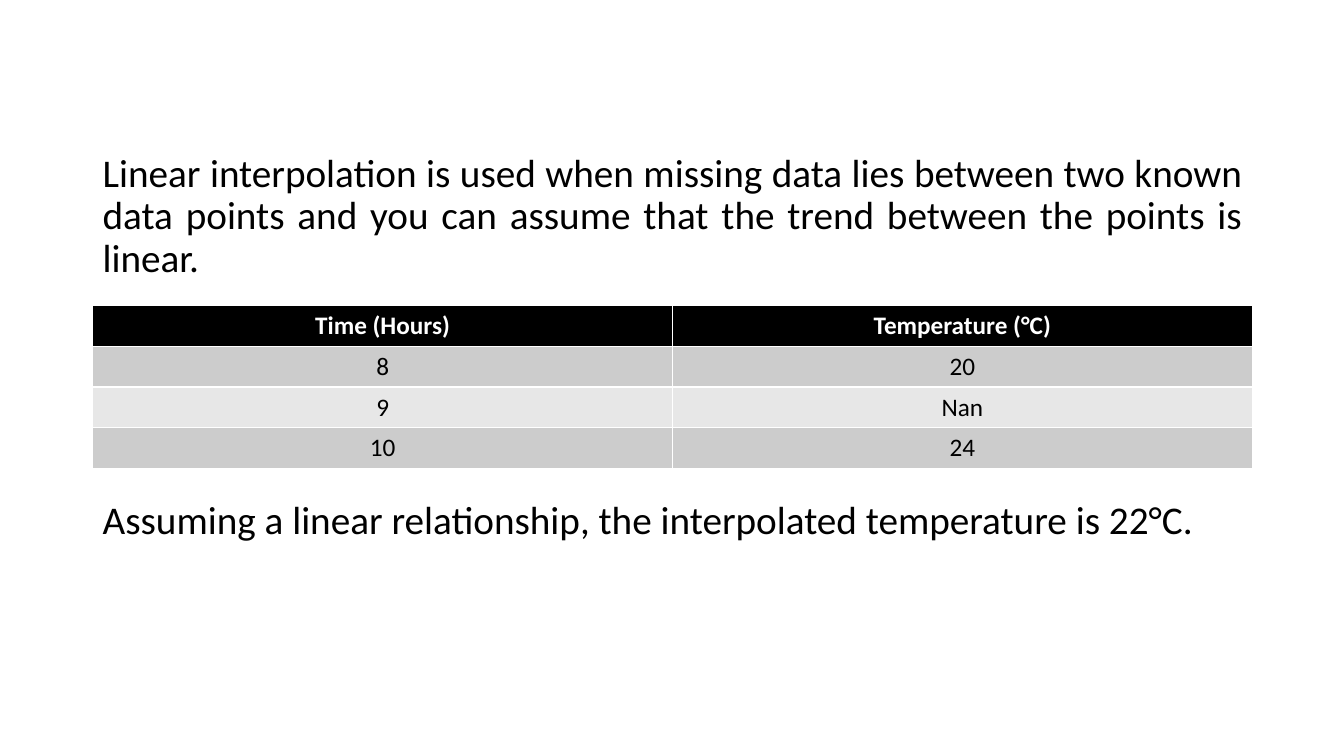
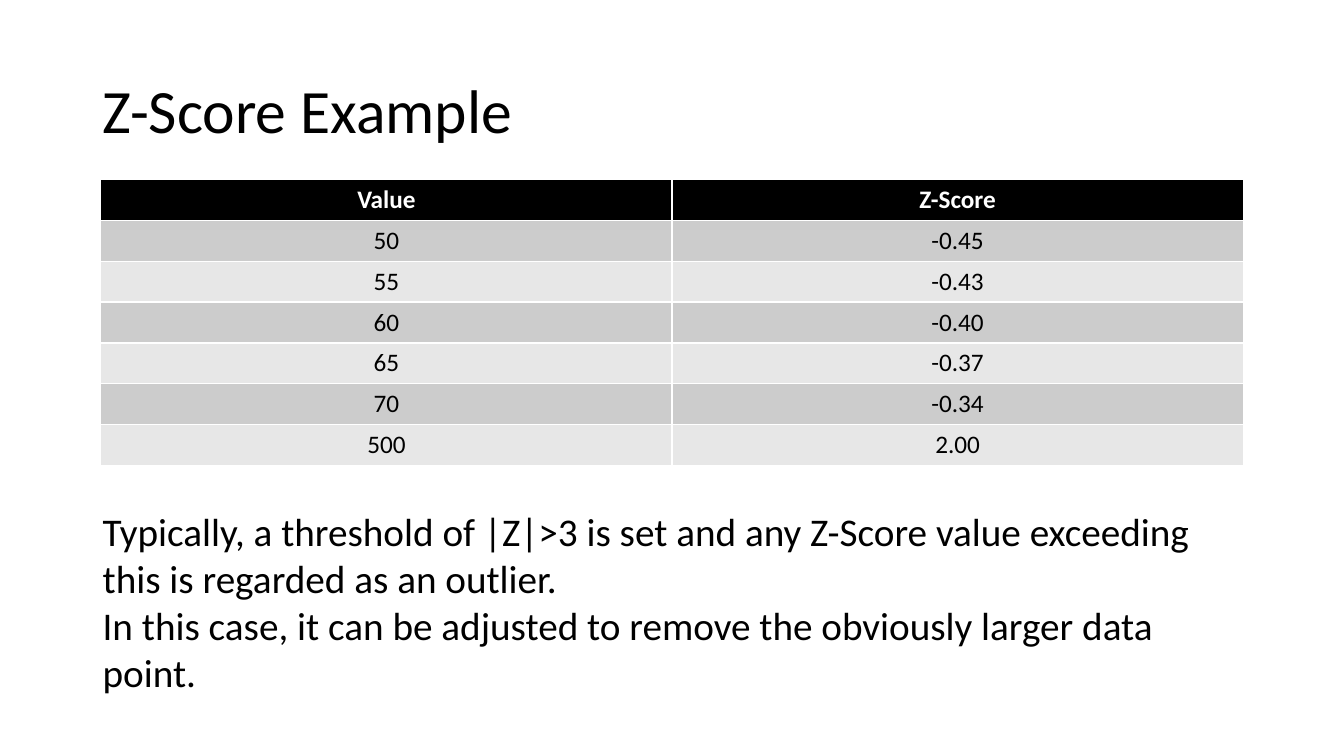
from pptx import Presentation
from pptx.dml.color import RGBColor
from pptx.enum.text import MSO_ANCHOR as Anchor, PP_ALIGN as Align
from pptx.util import Inches, Pt

BLACK = RGBColor(0x00, 0x00, 0x00)
WHITE = RGBColor(0xFF, 0xFF, 0xFF)
DARK_BAND = RGBColor(0xCC, 0xCC, 0xCC)
LIGHT_BAND = RGBColor(0xE7, 0xE7, 0xE7)


class Deck:
    font = "Calibri"
    title_size = 44
    body_size = 28
    table_size = 18
    left = 0.92
    width = 11.5
    heading_height = 1.45

    def __init__(self):
        self.presentation = Presentation()
        self.presentation.slide_width = Inches(13.33)
        self.presentation.slide_height = Inches(7.5)
        self.slide = None

    def new_slide(self):
        blank = self.presentation.slide_layouts[6]
        self.slide = self.presentation.slides.add_slide(blank)

    def add_text_run(self, paragraph, text, size, color=BLACK, bold=False):
        run = paragraph.add_run()
        run.text = text
        run.font.name = self.font
        run.font.size = Pt(size)
        run.font.bold = bold
        run.font.color.rgb = color

    def text(self, top, height, lines, size=body_size, align=Align.LEFT,
             anchor=Anchor.TOP, spacing=1.0):
        box = self.slide.shapes.add_textbox(
            Inches(self.left), Inches(top), Inches(self.width), Inches(height))
        frame = box.text_frame
        frame.word_wrap = True
        frame.vertical_anchor = anchor
        for index, line in enumerate(lines):
            paragraph = frame.add_paragraph() if index else frame.paragraphs[0]
            paragraph.alignment = align
            paragraph.line_spacing = spacing
            self.add_text_run(paragraph, line, size)

    def heading(self, top, line, size=body_size, align=Align.LEFT):
        self.text(top, self.heading_height, [line], size, align,
                  Anchor.MIDDLE, 0.9)

    def table(self, left, top, width, height, rows):
        frame = self.slide.shapes.add_table(
            len(rows), len(rows[0]), Inches(left), Inches(top),
            Inches(width), Inches(height))
        for row_index, row in enumerate(rows):
            header = row_index == 0
            band = DARK_BAND if row_index % 2 else LIGHT_BAND
            for column_index, value in enumerate(row):
                cell = frame.table.cell(row_index, column_index)
                cell.fill.solid()
                cell.fill.fore_color.rgb = BLACK if header else band
                paragraph = cell.text_frame.paragraphs[0]
                paragraph.alignment = Align.CENTER
                self.add_text_run(paragraph, value, self.table_size,
                                  WHITE if header else BLACK, header)


def interpolation_slide(deck):
    deck.new_slide()
    deck.heading(
        1.43,
        "Linear interpolation is used when missing data lies between two known "
        "data points and you can assume that the trend between the points is "
        "linear.",
        align=Align.JUSTIFY)
    deck.table(deck.left, 3.03, deck.width, 1.62, [
        ("Time (Hours)", "Temperature (°C)"),
        ("8", "20"),
        ("9", "Nan"),
        ("10", "24"),
    ])
    deck.heading(
        4.45,
        "Assuming a linear relationship, the interpolated temperature is 22°C.")


def z_score_slide(deck):
    deck.new_slide()
    deck.heading(0.4, "Z-Score Example", deck.title_size)
    deck.table(1, 1.78, 11.33, 2.84, [
        ("Value", "Z-Score"),
        ("50", "-0.45"),
        ("55", "-0.43"),
        ("60", "-0.40"),
        ("65", "-0.37"),
        ("70", "-0.34"),
        ("500", "2.00"),
    ])
    deck.text(4.98, 1.99, [
        "Typically, a threshold of |Z|>3 is set and any Z-Score value exceeding "
        "this is regarded as an outlier.",
        "In this case, it can be adjusted to remove the obviously larger data "
        "point.",
    ])


def main():
    deck = Deck()
    interpolation_slide(deck)
    z_score_slide(deck)
    deck.presentation.save("out.pptx")


if __name__ == "__main__":
    main()
